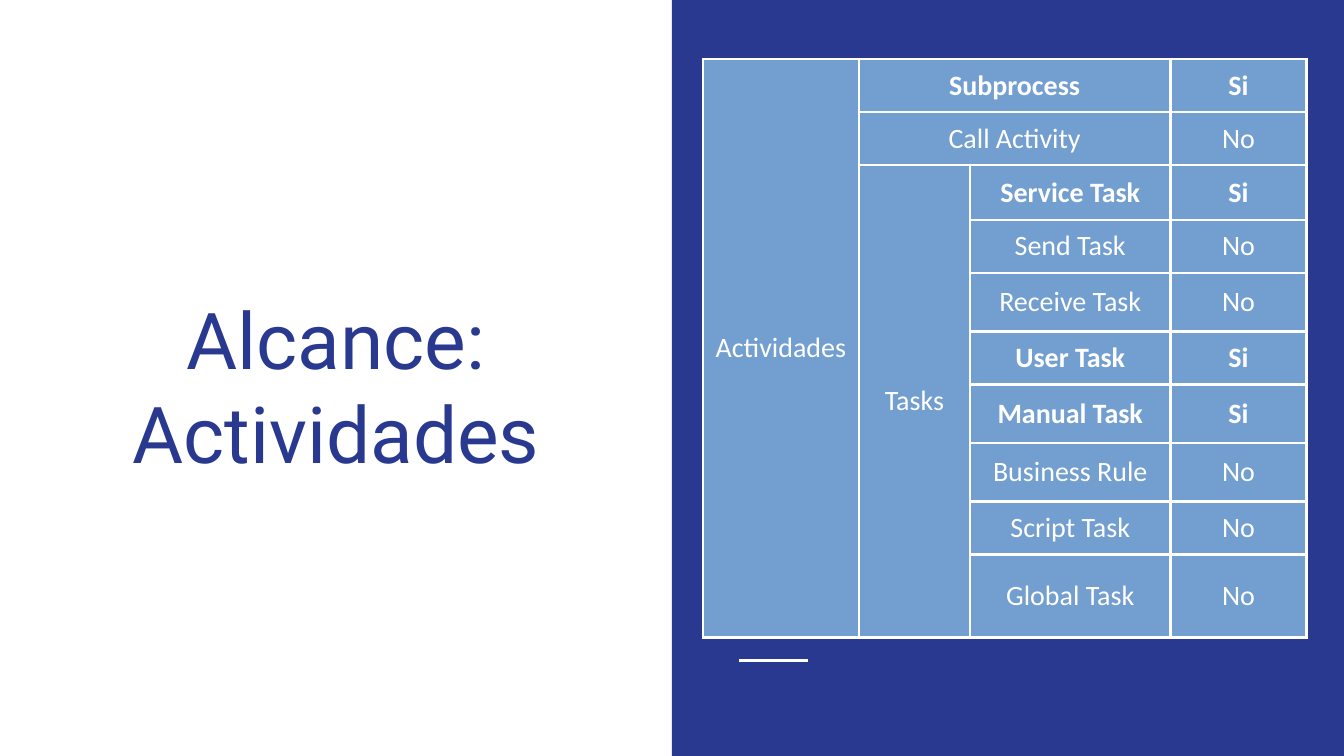
import pptx
import pptx.util
import pptx.dml.color
import pptx.enum.shapes
import pptx.enum.text
import pptx.oxml
import pptx.oxml.ns

Pt = pptx.util.Pt
ALIGN = pptx.enum.text.PP_ALIGN
ANCHOR = pptx.enum.text.MSO_ANCHOR
NAVY, BLUE, WHITE = "2A3990", "729FCF", "FFFFFF"


def color(code):
    return pptx.dml.color.RGBColor.from_string(code)


def write(frame, text, font, size, code, bold=False):
    para = frame.paragraphs[0]
    para.alignment = ALIGN.CENTER
    run = para.add_run()
    run.text = text
    run.font.name = font
    run.font.size = Pt(size)
    run.font.bold = bold
    run.font.color.rgb = color(code)


deck = pptx.Presentation()
deck.slide_width, deck.slide_height = Pt(720), Pt(405)
slide = deck.slides.add_slide(deck.slide_layouts[6])
shapes = slide.shapes

# Right half
panel = shapes.add_shape(pptx.enum.shapes.MSO_SHAPE.RECTANGLE,
                         Pt(360), Pt(0), Pt(360), Pt(405))
panel.shadow.inherit = False
panel.fill.solid()
panel.fill.fore_color.rgb = color(NAVY)
panel.line.fill.background()

# Short accent line
accent = shapes.add_connector(pptx.enum.shapes.MSO_CONNECTOR.STRAIGHT,
                              Pt(396), Pt(354), Pt(432.7), Pt(354))
accent.line.color.rgb = color(WHITE)
accent.line.width = Pt(1.5)
props = accent._element.spPr
props.append(props.makeelement(pptx.oxml.ns.qn("a:effectLst"), {}))

# Title
title = shapes.add_textbox(Pt(21), Pt(141), Pt(318), Pt(123)).text_frame
title.word_wrap = True
title.vertical_anchor = ANCHOR.BOTTOM
title.margin_left = title.margin_right = Pt(7.2)
title.margin_top = title.margin_bottom = Pt(7.2)
write(title, "Alcance: Actividades", "Roboto", 42, NAVY)

# Scope table: column of the label, label, in scope or not, row height
items = [
    (1, "Subprocess", True, 28.4),
    (1, "Call Activity", False, 28.4),
    (2, "Service Task", True, 29.4),
    (2, "Send Task", False, 28.4),
    (2, "Receive Task", False, 31.4),
    (2, "User Task", True, 28.4),
    (2, "Manual Task", True, 31.4),
    (2, "Business Rule", False, 31.4),
    (2, "Script Task", False, 28.4),
    (2, "Global Task", False, 44.4),
]
widths = [83.5, 59.6, 107.4, 72.8]
heights = [item[3] for item in items]
table = shapes.add_table(len(items), len(widths), Pt(376.6), Pt(31.7),
                         Pt(sum(widths)), Pt(sum(heights))).table
table.first_row = table.horz_banding = False
for col, width in zip(table.columns, widths):
    col.width = Pt(width)
for row, height in zip(table.rows, heights):
    row.height = Pt(height)

# Cell borders, fill and margins
for cell in table.iter_cells():
    props = cell._tc.get_or_add_tcPr()
    for side in ("lnL", "lnR", "lnT", "lnB"):
        props.append(pptx.oxml.parse_xml(
            f'<a:{side} {pptx.oxml.ns.nsdecls("a")} w="{Pt(1.47)}"><a:solidFill>'
            f'<a:srgbClr val="{WHITE}"/></a:solidFill></a:{side}>'))
    cell.fill.solid()
    cell.fill.fore_color.rgb = color(BLUE)
    cell.vertical_anchor = ANCHOR.MIDDLE
    cell.margin_left = cell.margin_right = Pt(5)
    cell.margin_top = cell.margin_bottom = Pt(3.6)

# Merged group cells
table.cell(0, 0).merge(table.cell(9, 0))
table.cell(2, 1).merge(table.cell(9, 1))
for r in (0, 1):
    table.cell(r, 1).merge(table.cell(r, 2))

# Cell text
texts = [(0, 0, "Actividades", False), (2, 1, "Tasks", False)]
for r, (c, label, done, height) in enumerate(items):
    texts += [(r, c, label, done), (r, 3, "Si" if done else "No", done)]
for r, c, text, bold in texts:
    write(table.cell(r, c).text_frame, text, "Calibri", 15, WHITE, bold)

deck.save("out.pptx")
